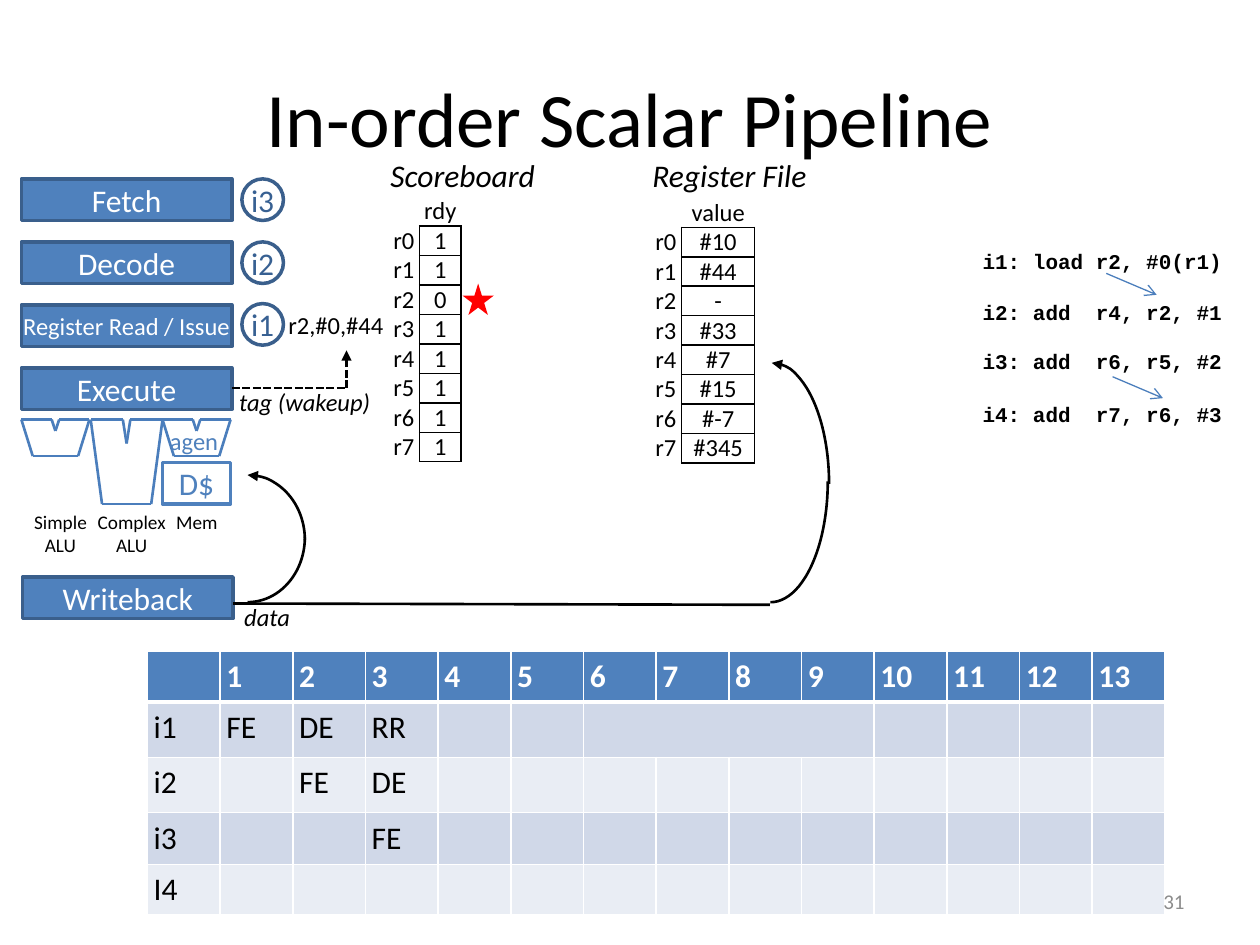
import pptx
import pptx.dml.color
import pptx.enum.dml
import pptx.enum.shapes
import pptx.enum.text
import pptx.oxml.ns
import pptx.util
from lxml import etree

Inches = pptx.util.Inches
Pt = pptx.util.Pt
qn = pptx.oxml.ns.qn
SHAPE = pptx.enum.shapes.MSO_SHAPE
ALIGN = pptx.enum.text.PP_ALIGN
MIDDLE = pptx.enum.text.MSO_ANCHOR.MIDDLE

BLUE, EDGE, WIRE, BLACK, WHITE = "4F81BD", "3A5F8C", "4B7EBC", "000000", "FFFFFF"
STAGES = [
    ("Fetch", 0.17, 1.42, 18),
    ("Decode", 0.17, 1.92, 18),
    ("Register Read / Issue", 0.17, 2.42, 14),
    ("Execute", 0.17, 2.92, 18),
    ("Writeback", 0.18, 4.58, 18),
]
IN_FLIGHT = [("i3", 1.42), ("i2", 1.92), ("i1", 2.41)]
UNITS = [(0.17, 0.54, 0.29, 0.09), (0.72, 0.57, 0.67, 0.19), (1.29, 0.54, 0.29, 0.09)]
UNIT_NAMES = [
    ("Simple\nALU", 0.17, 0.62, 0.47, ALIGN.CENTER),
    ("Complex\nALU", 0.67, 0.75, 0.47, ALIGN.CENTER),
    ("Mem", 1.3, 0.53, 0.29, ALIGN.LEFT),
]
PROGRAM = [
    ("i1: load r2, #0(r1)", 1.92),
    ("i2: add  r4, r2, #1", 2.33),
    ("i3: add  r6, r5, #2", 2.72),
    ("i4: add  r7, r6, #3", 3.14),
]
DEPENDENCIES = [(8.78, 2.17, 9.18, 2.34), (8.83, 2.99, 9.23, 3.16)]
REGISTER_TABLES = [
    ("rdy", ["1", "1", "0", "1", "1", "1", "1", "1"], 3.08, 1.56, 0.33),
    ("value", ["#10", "#44", "-", "#33", "#7", "#15", "#-7", "#345"], 5.16, 1.57, 0.58),
]
TIMING = [
    ["i1", "FE", "DE", "RR"],
    ["i2", "", "FE", "DE"],
    ["i3", "", "", "FE"],
    ["I4"],
]
TIMING_HEIGHTS = [0.4, 0.44, 0.44, 0.41, 0.4]
CYCLES = 13
ARCS = [
    (5.67, 2.88, 1.92, False),
    (1.51, 3.77, 1.03, False),
    (1.51, 3.75, 1.03, True),
    (5.66, 2.86, 1.92, True),
]
FLOW_LABELS = [
    ("tag (wakeup)", 1.8, 3.02, 1.25, True),
    ("data", 1.84, 4.73, 0.57, True),
    ("r2,#0,#44", 2.19, 2.41, 0.96, False),
]


def rgb(code):
    """Turn a hex string into a colour."""
    return pptx.dml.color.RGBColor.from_string(code)


def write(frame, text, size, color=BLACK, align=ALIGN.LEFT, font="Calibri", bold=False, italic=False):
    """Write text into the first paragraph, with a line break at each newline."""
    para = frame.paragraphs[0]
    para.alignment = align
    for number, line in enumerate(text.split("\n")):
        if number:
            para.add_line_break()
        span = para.add_run()
        span.text = line
        span.font.name = font
        span.font.size = Pt(size)
        span.font.bold = bold
        span.font.italic = italic
        span.font.color.rgb = rgb(color)


def label(slide, text, place, size, wrap=False, anchor=None, **style):
    """Add a text box."""
    frame = slide.shapes.add_textbox(*map(Inches, place)).text_frame
    frame.word_wrap = wrap
    if anchor is None:
        frame.auto_size = pptx.enum.text.MSO_AUTO_SIZE.SHAPE_TO_FIT_TEXT
    else:
        frame.vertical_anchor = anchor
    write(frame, text, size, **style)


def shape(slide, kind, place, fill=None, edge=None, width=2):
    """Add a preset shape without a shadow."""
    item = slide.shapes.add_shape(kind, *map(Inches, place))
    item.shadow.inherit = False
    if fill:
        item.fill.solid()
        item.fill.fore_color.rgb = rgb(fill)
    else:
        item.fill.background()
    if edge:
        item.line.color.rgb = rgb(edge)
        item.line.width = Pt(width)
    else:
        item.line.fill.background()
    return item


def caption(item, text, size, color, inset=0.1):
    """Write centred text in a shape."""
    frame = item.text_frame
    frame.word_wrap = True
    frame.vertical_anchor = MIDDLE
    frame.margin_left = frame.margin_right = Inches(inset)
    write(frame, text, size, color, ALIGN.CENTER)


def arrowhead(item, end, kind):
    """Put an arrowhead on the headEnd or tailEnd of a line."""
    etree.SubElement(item.element.spPr.find(qn("a:ln")), qn("a:" + end), type=kind)


def wire(shapes, ends, color=BLACK, width=1.5, tail=None, dashed=False):
    """Add a straight line."""
    item = shapes.add_connector(pptx.enum.shapes.MSO_CONNECTOR.STRAIGHT, *map(Inches, ends))
    item.line.color.rgb = rgb(color)
    item.line.width = Pt(width)
    if dashed:
        item.line.dash_style = pptx.enum.dml.MSO_LINE.SQUARE_DOT
    if tail:
        arrowhead(item, "tailEnd", tail)
    etree.SubElement(item.element.spPr, qn("a:effectLst"))


def unit(slide, left, width, height, notch):
    """Outline one notched functional unit."""
    middle = width / 2
    corners = [(0, 0), (0.09, height), (width - 0.09, height), (width, 0),
               (middle + 0.03, 0), (middle, notch), (middle - 0.03, 0)]
    points = [(left + x, 3.33 + y) for x, y in corners]
    group = slide.shapes.add_group_shape()
    for start, end in zip(points, points[1:] + points[:1]):
        wire(group.shapes, start + end, WIRE)


def grid(slide, left, top, widths, heights):
    """Add a table without style bands."""
    place = map(Inches, (left, top, sum(widths), sum(heights)))
    table = slide.shapes.add_table(len(heights), len(widths), *place).table
    table.first_row = table.horz_banding = False
    for column, width in zip(table.columns, widths):
        column.width = Inches(width)
    for row, height in zip(table.rows, heights):
        row.height = Inches(height)
    return table


def fill_cell(cell, text, size, fill, borders, inset, **style):
    """Set the text, edges and fill of a cell; borders maps L, R, T, B to a colour and width."""
    cell.margin_left = cell.margin_right = cell.margin_top = cell.margin_bottom = Inches(inset)
    if text:
        write(cell.text_frame, text, size, **style)
    else:
        para = cell.text_frame.paragraphs[0]
        etree.SubElement(para._p, qn("a:endParaRPr"), sz=str(size * 100))
    properties = cell._tc.get_or_add_tcPr()
    for side in "LRTB":
        color, width = borders.get(side, (None, 0))
        line = etree.SubElement(properties, qn("a:ln" + side), w=str(Pt(width)))
        paint = etree.SubElement(line, qn("a:solidFill" if color else "a:noFill"))
        if color:
            etree.SubElement(paint, qn("a:srgbClr"), val=color)
    if fill:
        cell.fill.solid()
        cell.fill.fore_color.rgb = rgb(fill)
    else:
        cell.fill.background()


def register_table(slide, heading, values, left, top, width):
    """Add a register column with row names beside boxed values."""
    table = grid(slide, left, top, [0.25, width], [2.1 / 9] * 9)
    edge = (BLACK, 1)
    rows = [("", heading)] + [(f"r{number}", value) for number, value in enumerate(values)]
    for index, row in enumerate(rows):
        edges = [{"R": edge}, dict.fromkeys("LRTB", edge)] if index else [{}, {"B": edge}]
        for column, text in enumerate(row):
            fill_cell(table.cell(index, column), text, 14, None, edges[column], 0, align=ALIGN.CENTER)


def timing_table(slide):
    """Add the table of pipeline stages by cycle."""
    table = grid(slide, 1.17, 5.17, [8.08 / (CYCLES + 1)] * (CYCLES + 1), TIMING_HEIGHTS)
    header = [""] + [str(cycle + 1) for cycle in range(CYCLES)]
    for index, row in enumerate([header] + TIMING):
        borders = dict.fromkeys("LRTB", (WHITE, 1))
        if index < 2:
            borders["T" if index else "B"] = (WHITE, 3)
        fill = ("D0D8E8" if index % 2 else "E9EDF4") if index else BLUE
        for column in range(CYCLES + 1):
            text = row[column] if column < len(row) else ""
            fill_cell(table.cell(index, column), text, 18, fill, borders, 0.05,
                      color=BLACK if index else WHITE, bold=not index)
    table.cell(1, 6).merge(table.cell(1, 9))


def main():
    """Build the slide and save it."""
    deck = pptx.Presentation()
    deck.slide_width, deck.slide_height = Inches(10), Inches(7.5)
    slide = deck.slides.add_slide(deck.slide_layouts[6])
    label(slide, "In-order Scalar Pipeline", (0.5, 0.3, 9, 1.25), 44, True, MIDDLE, align=ALIGN.CENTER)
    for text, left, top, size in STAGES:
        box = shape(slide, SHAPE.RECTANGLE, (left, top, 1.67, 0.33), BLUE, EDGE)
        caption(box, text, size, WHITE, 0.1 if size == 18 else 0)
    for outline in UNITS:
        unit(slide, *outline)
    caption(shape(slide, SHAPE.RECTANGLE, (1.29, 3.67, 0.54, 0.33), None, BLUE), "D$", 18, BLUE)
    label(slide, "agen", (1.25, 3.33, 0.59, 0.34), 14, color=BLUE)
    for text, left, width, height, align in UNIT_NAMES:
        label(slide, text, (left, 4, width, height), 11, align=align)
    timing_table(slide)
    for text, top in IN_FLIGHT:
        caption(shape(slide, SHAPE.OVAL, (1.92, top, 0.33, 0.33), None, EDGE), text, 18, "376092", 0)
    label(slide, "31", (7.17, 6.95, 2.33, 0.4), 12, True, MIDDLE, color="8C8C8C", align=ALIGN.RIGHT)
    for text, top in PROGRAM:
        label(slide, text, (7.7, top, 2.13, 0.3), 12, font="Courier New", bold=True)
    for ends in DEPENDENCIES:
        wire(slide.shapes, ends, WIRE, 0.75, "arrow")
    for column in REGISTER_TABLES:
        register_table(slide, *column)
    label(slide, "Scoreboard", (3, 1.19, 1.36, 0.4), 18, italic=True)
    label(slide, "Register File", (5.08, 1.19, 1.65, 0.4), 18, True, italic=True)
    for left, top, height, flipped in ARCS:
        arc = shape(slide, SHAPE.ARC, (left, top, 0.91, height), None, BLACK, 1.5)
        if flipped:
            arc.element.spPr.find(qn("a:xfrm")).set("flipV", "1")
        else:
            arrowhead(arc, "headEnd", "triangle")
    wire(slide.shapes, (1.85, 4.79, 6.11, 4.8))
    wire(slide.shapes, (2.75, 3.08, 2.75, 2.78), tail="triangle", dashed=True)
    wire(slide.shapes, (1.84, 3.08, 2.75, 3.08), dashed=True)
    for text, left, top, width, italic in FLOW_LABELS:
        label(slide, text, (left, top, width, 0.34), 14, italic=italic)
    shape(slide, SHAPE.STAR_5_POINT, (3.67, 2.25, 0.25, 0.25), "FF0000")
    deck.save("out.pptx")


if __name__ == "__main__":
    main()
